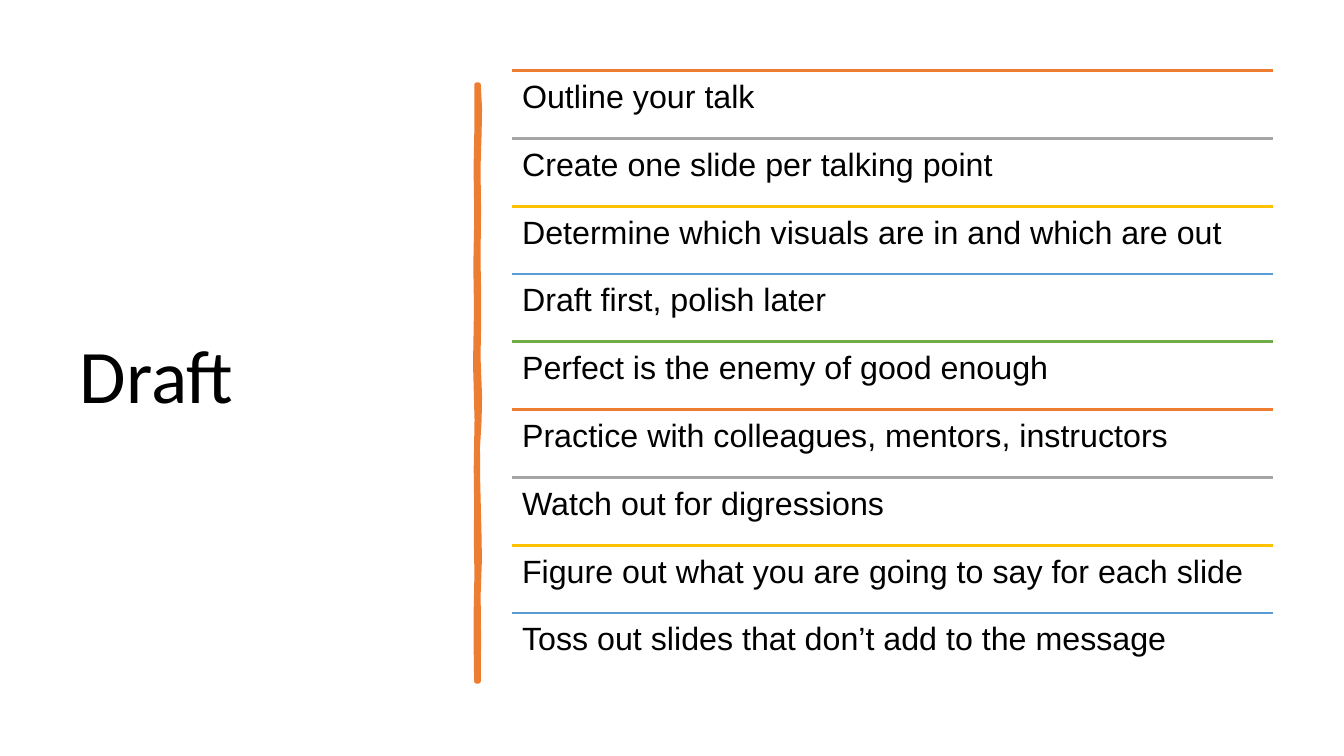
from dataclasses import dataclass

from lxml.etree import SubElement
from pptx import Presentation
from pptx.dml.color import RGBColor
from pptx.enum.shapes import MSO_CONNECTOR
from pptx.enum.text import MSO_ANCHOR as Anchor
from pptx.oxml.ns import qn
from pptx.slide import Slide
from pptx.util import Pt

LIST_LEFT, LIST_TOP, LIST_WIDTH, ROW_HEIGHT = 365.8, 50.4, 543.6, 48.43
ORANGE = "ED7D31"
RULE_COLORS = [ORANGE, "A5A5A5", "FFC000", "599BD5", "70AD47"]
TIPS = [
    "Outline your talk",
    "Create one slide per talking point",
    "Determine which visuals are in and which are out",
    "Draft first, polish later",
    "Perfect is the enemy of good enough",
    "Practice with colleagues, mentors, instructors",
    "Watch out for digressions",
    "Figure out what you are going to say for each slide",
    "Toss out slides that don’t add to the message",
]
BAR_RIGHT = [
    (341.8, 60.5), (342.7, 78), (342.4, 95), (341.6, 120), (342, 150),
    (341.6, 185), (342.1, 211), (342, 235), (341.6, 255), (342.7, 283),
    (342.4, 300), (341.2, 320), (341.4, 345), (342.4, 385), (342.6, 400),
    (341.7, 425), (342, 455), (341.8, 486.7),
]
BAR_LEFT = [
    (340.3, 486.7), (340, 465), (339.9, 440), (340.5, 410), (340.1, 385),
    (340.3, 360), (340, 335), (340.6, 300), (339.5, 260), (340.2, 220),
    (339.7, 190), (340.4, 155), (339.9, 120), (340.5, 90), (340.4, 60.5),
]


@dataclass
class TextSpec:
    text: str
    left: float
    top: float
    width: float
    height: float
    font: str
    size: float
    inset: float
    anchor: Anchor = Anchor.TOP


def rgb(value: str) -> RGBColor:
    return RGBColor.from_string(value)


def add_text(s: Slide, spec: TextSpec) -> None:
    sp = s.shapes.add_textbox(
        Pt(spec.left), Pt(spec.top), Pt(spec.width), Pt(spec.height)
    )
    tf = sp.text_frame
    tf.text = spec.text
    tf.word_wrap = True
    tf.vertical_anchor = spec.anchor
    tf.margin_left = tf.margin_right = Pt(7.2)
    tf.margin_top = tf.margin_bottom = Pt(spec.inset)
    p = tf.paragraphs[0]
    p.line_spacing = 0.9
    r = p.runs[0]
    r.font.name = spec.font
    r.font.size = Pt(spec.size)
    r.font.color.rgb = rgb("000000")


def add_rule(s: Slide, top: float, color: str) -> None:
    line = s.shapes.add_connector(
        MSO_CONNECTOR.STRAIGHT,
        Pt(LIST_LEFT), Pt(top), Pt(LIST_LEFT + LIST_WIDTH), Pt(top),
    )
    line.line.color.rgb = rgb(color)
    line.line.width = Pt(2)
    SubElement(line._element.spPr, qn("a:effectLst"))


def add_bar(s: Slide) -> None:
    start, *rest = [(Pt(x), Pt(y)) for x, y in BAR_RIGHT + BAR_LEFT]
    builder = s.shapes.build_freeform(*start)
    builder.add_line_segments(rest, close=True)
    sp = builder.convert_to_shape()
    sp.shadow.inherit = False
    sp.fill.solid()
    sp.fill.fore_color.rgb = rgb(ORANGE)
    sp.line.color.rgb = rgb(ORANGE)
    sp.line.width = Pt(3.25)
    SubElement(sp.line._get_or_add_ln(), qn("a:round"))


def main() -> None:
    prs = Presentation()
    prs.slide_width, prs.slide_height = Pt(960), Pt(540)
    s = prs.slides.add_slide(prs.slide_layouts[6])
    add_text(s, TextSpec("Draft", 50, 50.4, 269, 440, "Calibri", 54, 3.6, Anchor.MIDDLE))
    add_bar(s)
    for i, tip in enumerate(TIPS):
        top = LIST_TOP + i * ROW_HEIGHT
        add_rule(s, top, RULE_COLORS[i % len(RULE_COLORS)])
        add_text(s, TextSpec(tip, LIST_LEFT, top, LIST_WIDTH, ROW_HEIGHT, "Arial", 23, 7.2))
    prs.save("out.pptx")


if __name__ == "__main__":
    main()
